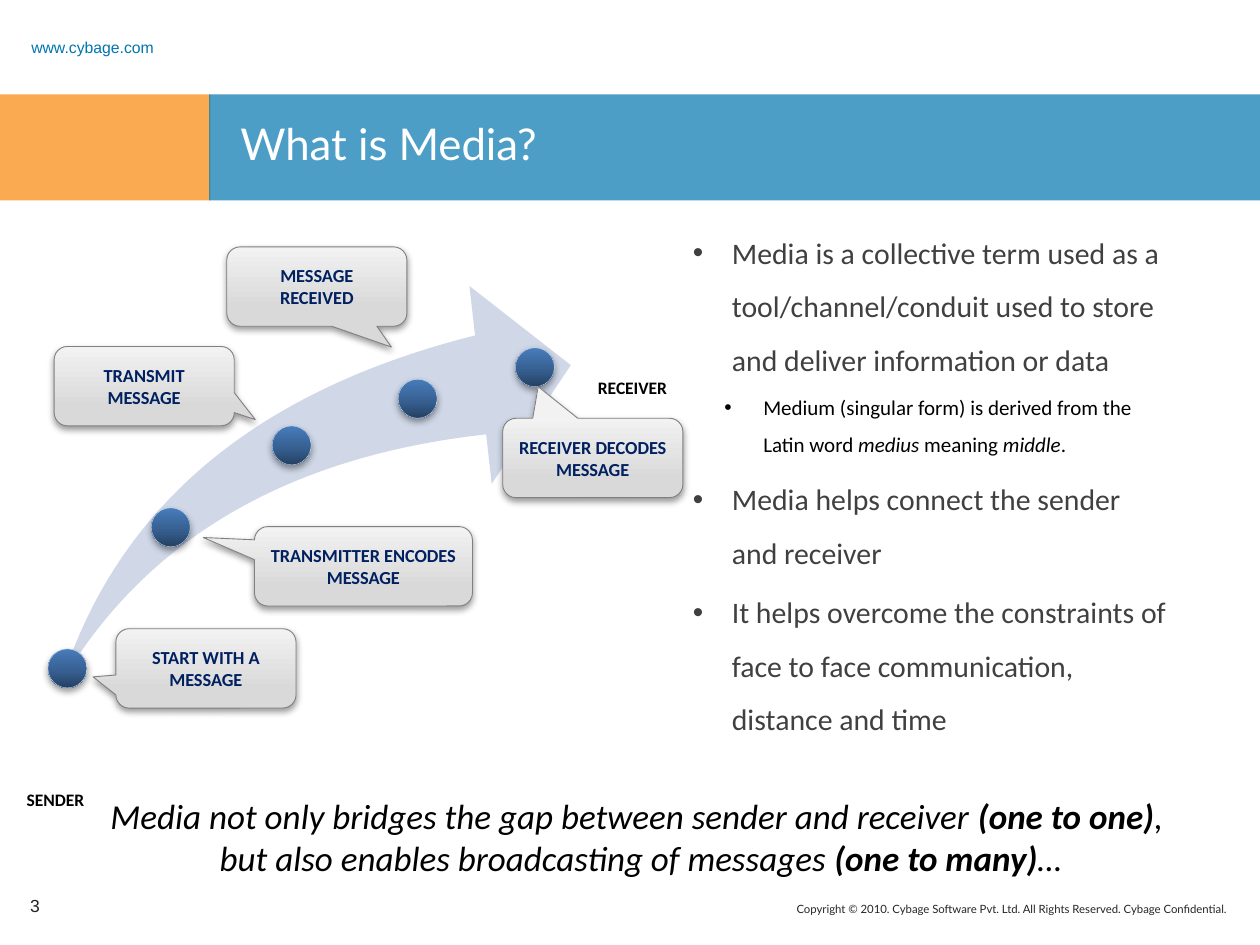
from lxml.etree import SubElement
from pptx import Presentation
from pptx.dml.color import RGBColor
from pptx.enum.shapes import MSO_SHAPE
from pptx.enum.text import MSO_ANCHOR, PP_ALIGN
from pptx.oxml.ns import qn
from pptx.util import Inches, Pt

HUES = {
    "orange": "F88608", "blue": "0075B0", "white": "FFFFFF", "black": "000000",
    "ink": "262626", "gray": "404040", "navy": "002060", "swoosh": "D0D8E8",
    "rim": "C6D9F1", "edge": "808080",
}
BALL = [(2, "477BB9"), (56, "376092"), (100, "254061")]
PANEL = [(0, "D9D9D9"), (24, "D9D9D9"), (100, "F2F2F2")]

BANDS = [((0, 0.75, 1.67, 0.84), "orange"), ((1.66, 0.75, 8.34, 0.84), "blue")]

SMALL = dict(size=10, name="Calibri", color="black", bold=True)
CLOSE = dict(size=20, name="Calibri", color="black", italic=True)
LABELS = [
    ((4.08, 7.11, 5.76, 0.26), "RIGHT", "TOP", 1,
     dict(size=6.5, name="Lato", color="ink"),
     [[("Copyright © 2010. Cybage Software Pvt. Ltd. All Rights Reserved. Cybage Confidential.", {})]]),
    ((0.15, 0.24, 1.5, 0.19), "LEFT", "MIDDLE", 1.5,
     dict(size=9, name="Arial", color="blue"), [[("www.cybage.com", {})]]),
    ((1.81, 0.88, 7.94, 0.62), "LEFT", "TOP", 1,
     dict(size=25, name="Lato", color="white"), [[("What is Media?", {})]]),
    ((0.14, 6.99, 0.54, 0.4), "LEFT", "MIDDLE", 1,
     dict(size=10, name="Arial", color="ink"), [[("3", {})]]),
    ((-0.03, 6.21, 0.94, 0.27), "CENTER", "TOP", 1, SMALL, [[("SENDER", {})]]),
    ((4.55, 2.94, 0.94, 0.27), "CENTER", "TOP", 1, SMALL, [[("RECEIVER", {})]]),
    ((0.71, 6.26, 8.75, 0.77), "CENTER", "TOP", 1, CLOSE, [
        [("Media not only bridges the gap between sender and receiver ", {}),
         ("(one to one)", {"bold": True}), (", ", {})],
        [("but also enables broadcasting of messages ", {}),
         ("(one to many)", {"bold": True}), ("…", {})],
    ]),
]

LEVELS = [
    dict(left=0.31, gap=3.4, font=dict(size=17, name="Calibri", color="gray")),
    dict(left=0.56, gap=2.4, font=dict(size=12, name="Calibri", color="black")),
]
POINTS = [
    (0, [("Media is a collective term used as a tool/channel/conduit used to store and deliver information or data", {})]),
    (1, [("Medium (singular form) is derived from the Latin word ", {}),
         ("medius", {"italic": True}), (" meaning ", {}),
         ("middle", {"italic": True}), (".", {})]),
    (0, [("Media helps connect the sender and receiver", {})]),
    (0, [("It helps overcome the constraints of face to face communication, distance and time", {})]),
]

DOTS = [(1.2, 4.03), (2.16, 3.38), (0.38, 5.15), (4.09, 2.76), (3.16, 3.01)]
CALLS = [
    ("RECEIVER DECODES MESSAGE", 3.99, 3.32, 1.43, (-0.303, -0.899)),
    ("MESSAGE RECEIVED", 1.8, 1.96, 1.43, (0.414, 0.762)),
    ("TRANSMIT MESSAGE", 0.43, 2.75, 1.43, (0.617, 0.423)),
    ("START WITH A MESSAGE", 0.92, 4.99, 1.43, (-0.627, 0.107)),
    ("TRANSMITTER ENCODES MESSAGE", 2.02, 4.18, 1.73, (-0.735, -0.362)),
]


def tint(name):
    return RGBColor.from_string(HUES[name])


def style(font, form):
    for key, val in form.items():
        if key == "color":
            font.color.rgb = tint(val)
        else:
            setattr(font, key, Pt(val) if key == "size" else val)


def write(para, runs, form):
    for text, extra in runs:
        run = para.add_run()
        run.text = text
        style(run.font, {**form, **extra})


def node(base, tag, **attrs):
    return SubElement(base, qn("a:" + tag), {k: str(v) for k, v in attrs.items()})


def alpha(base, share):
    node(base, "alpha", val=share * 1000)


def draw(shapes, kind, box, adjust=()):
    shape = shapes.add_shape(kind, *map(Inches, box))
    shape.shadow.inherit = False
    for i, val in enumerate(adjust):
        shape.adjustments[i] = val
    shape.line.fill.background()
    return shape


def flat(shape, name):
    shape.fill.solid()
    shape.fill.fore_color.rgb = tint(name)


def gloss(shape, stops, angle, edge, width):
    shape.fill.gradient()
    shape.fill.gradient_angle = angle
    props = shape.fill._xPr
    bag = props.find(".//" + qn("a:gsLst"))
    for old in list(bag):
        bag.remove(old)
    for pos, hue in stops:
        node(node(bag, "gs", pos=pos * 1000), "srgbClr", val=hue)
    shape.line.color.rgb = tint(edge)
    shape.line.width = Pt(width)
    glow = node(props.find(qn("a:effectLst")), "outerShdw", blurRad=Pt(4),
                dist=Pt(2), dir=5400000, rotWithShape=0)
    alpha(node(glow, "srgbClr", val=HUES["black"]), 40)


def textbox(slide, box, anchor="TOP"):
    frame = slide.shapes.add_textbox(*map(Inches, box)).text_frame
    frame.word_wrap = True
    frame.vertical_anchor = MSO_ANCHOR[anchor]
    return frame


def paras(frame, items):
    for i, item in enumerate(items):
        yield (frame.add_paragraph() if i else frame.paragraphs[0]), item


def label(slide, box, align, anchor, space, form, lines):
    for para, runs in paras(textbox(slide, box, anchor), lines):
        para.alignment = PP_ALIGN[align]
        para.line_spacing = space
        write(para, runs, form)


def bullets(slide):
    frame = textbox(slide, (5.4, 1.67, 3.98, 4.45))
    for i, (para, (level, runs)) in enumerate(paras(frame, POINTS)):
        look = LEVELS[level]
        props = para._p.get_or_add_pPr()
        props.set("marL", str(Inches(look["left"])))
        props.set("indent", str(Inches(-0.31)))
        node(props, "buFont", typeface="Arial")
        node(props, "buChar", char="•")
        para.level = level
        para.line_spacing = 1.5
        para.space_before = Pt(look["gap"] if i else 0)
        write(para, runs, look["font"])


def diagram(slide):
    shapes = slide.shapes.add_group_shape().shapes
    swoosh = draw(shapes, MSO_SHAPE.SWOOSH_ARROW, (0.49, 2.27, 4.04, 3.14), (0.25, 0.242))
    flat(swoosh, "swoosh")
    for x, y in DOTS:
        dot = draw(shapes, MSO_SHAPE.OVAL, (x, y, 0.31, 0.31))
        gloss(dot, BALL, 270, "rim", 0.25)
    for text, x, y, width, tip in CALLS:
        call = draw(shapes, MSO_SHAPE.ROUNDED_RECTANGULAR_CALLOUT,
                    (x, y, width, 0.63), (*tip, 0.167))
        gloss(call, PANEL, 90, "edge", 0.5)
        frame = call.text_frame
        frame.word_wrap = True
        frame.margin_left = frame.margin_right = Inches(0.09)
        frame.vertical_anchor = MSO_ANCHOR.MIDDLE
        para = frame.paragraphs[0]
        para.alignment = PP_ALIGN.CENTER
        write(para, [(text, {})], dict(size=10.5, name="Calibri", color="navy", bold=True))


def main():
    deck = Presentation()
    deck.slide_width, deck.slide_height = Inches(10), Inches(7.5)
    slide = deck.slides.add_slide(deck.slide_layouts[6])
    for box, hue in BANDS:
        band = draw(slide.shapes, MSO_SHAPE.RECTANGLE, box)
        flat(band, hue)
        alpha(band.fill._xPr.find(".//" + qn("a:srgbClr")), 70)
    bullets(slide)
    diagram(slide)
    for item in LABELS:
        label(slide, *item)
    deck.save("out.pptx")


if __name__ == "__main__":
    main()
